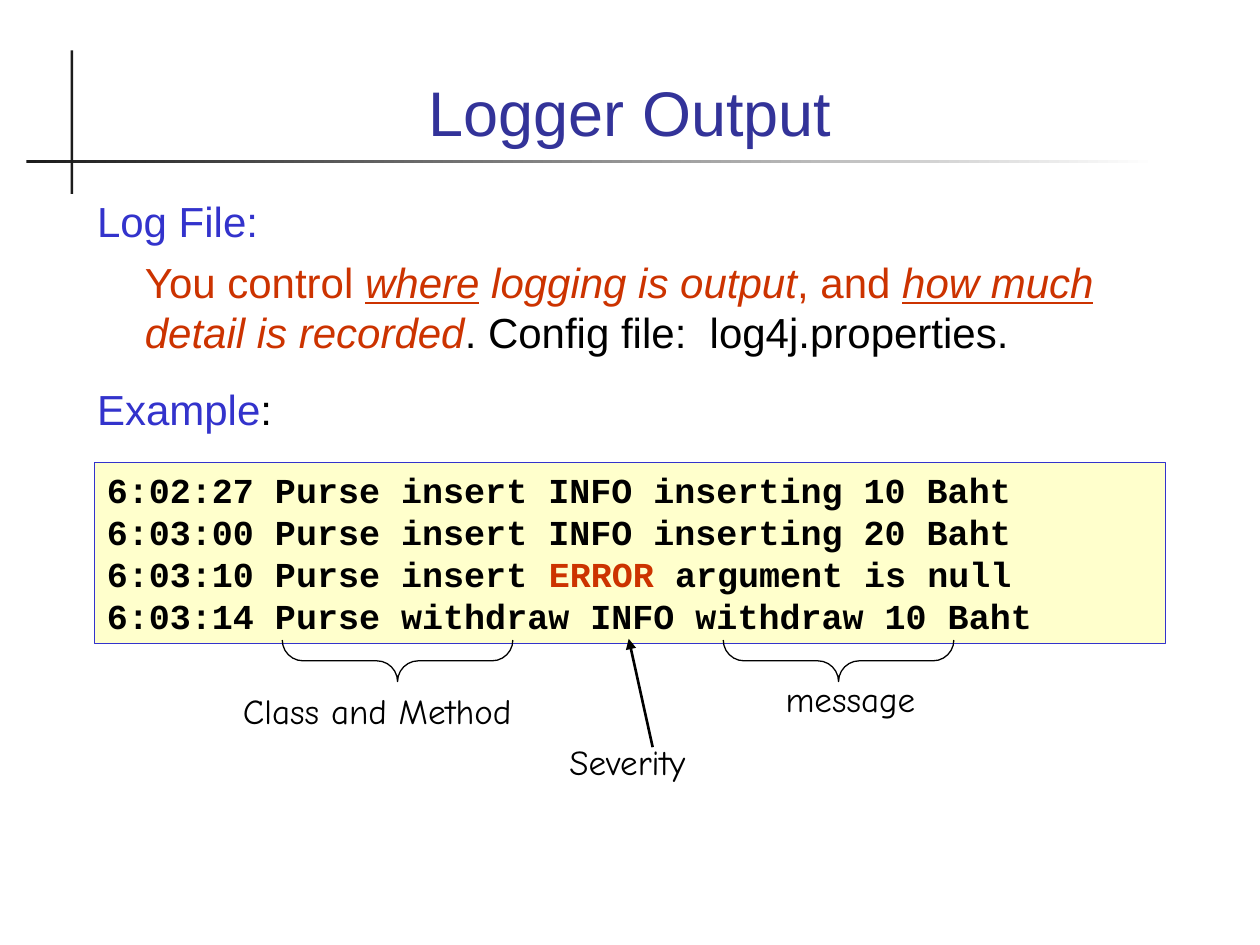
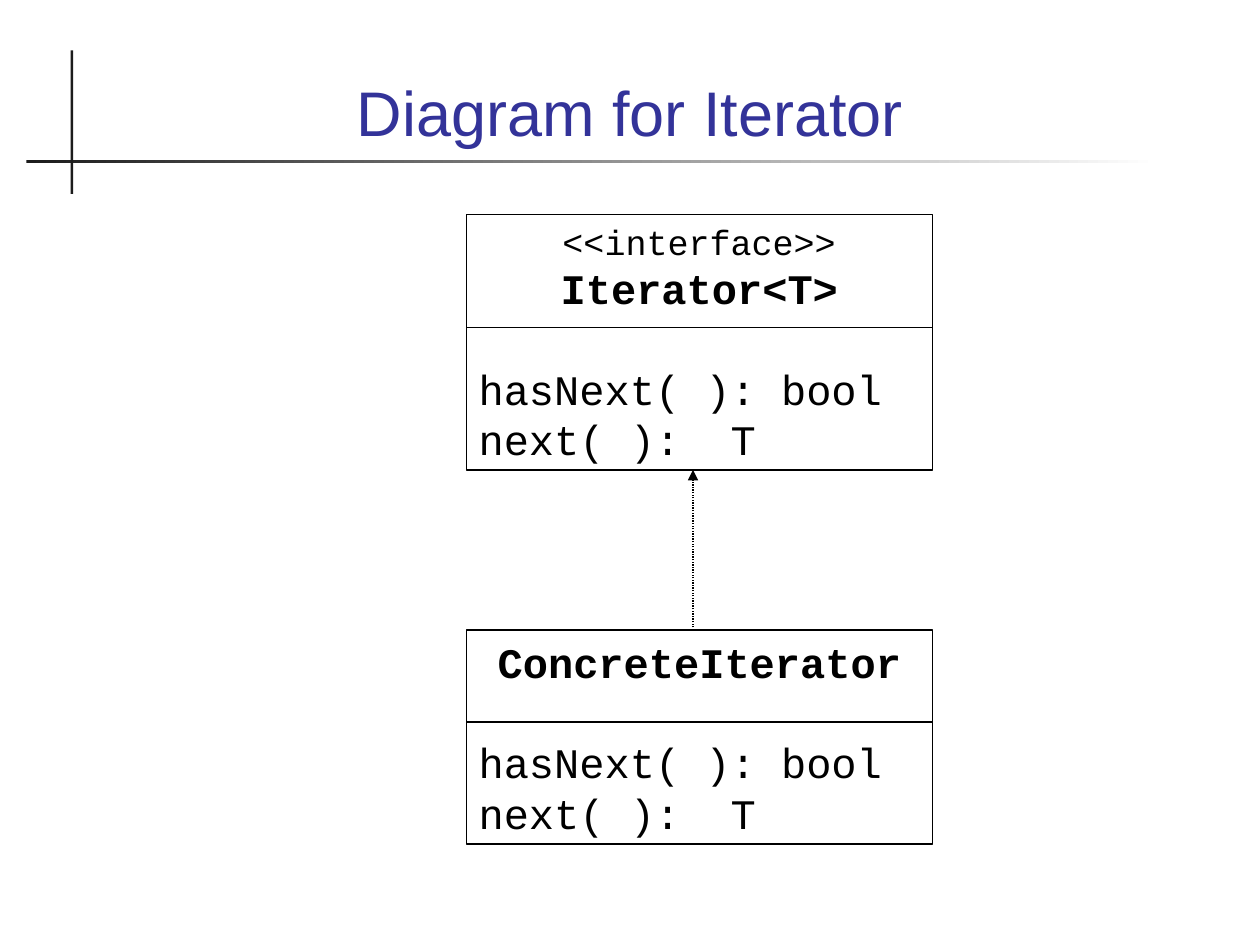
from dataclasses import dataclass

from lxml import etree
from pptx import Presentation
from pptx.dml.color import RGBColor
from pptx.enum.dml import MSO_LINE
from pptx.enum.shapes import MSO_CONNECTOR, MSO_SHAPE
from pptx.enum.text import MSO_ANCHOR, MSO_AUTO_SIZE, PP_ALIGN
from pptx.oxml.ns import qn
from pptx.util import Inches, Pt

RECTANGLE, BRACE = MSO_SHAPE.RECTANGLE, MSO_SHAPE.RIGHT_BRACE
STRAIGHT, DOTTED = MSO_CONNECTOR.STRAIGHT, MSO_LINE.ROUND_DOT
TOP, BOTTOM = MSO_ANCHOR.TOP, MSO_ANCHOR.BOTTOM
LEFT, CENTER = PP_ALIGN.LEFT, PP_ALIGN.CENTER
FIXED = MSO_AUTO_SIZE.NONE
CONTENT_LAYOUT, TITLE_LAYOUT = 1, 5


@dataclass(frozen=True)
class Theme:
    """Colours, fonts and type sizes of the deck."""

    title: str = "333399"
    accent: str = "3333CC"
    alert: str = "CC3300"
    ink: str = "000000"
    rule: str = "1C1C1C"
    paper: str = "FFFFFF"
    log: str = "FFFFCC"
    sans: str = "Arial"
    mono: str = "Courier New"
    hand: str = "Comic Neue"
    title_size: int = 36
    text_size: int = 24
    small_size: int = 20
    thin: float = 0.75
    thick: float = 1.5


THEME = Theme()


def rgb(code):
    """Turn a hex code into a colour."""
    return RGBColor.from_string(code)


def add_span(para, text, name, size, color=THEME.ink, **style):
    """Add a formatted run to a paragraph."""
    span = para.add_run()
    span.text = text
    span.font.color.rgb = rgb(color)
    for key, value in {"name": name, "size": Pt(size), **style}.items():
        setattr(span.font, key, value)


def write_paras(frame, paras, anchor=TOP):
    """Fill a text frame from (paragraph format, spans) pairs."""
    frame.word_wrap = True
    frame.auto_size = FIXED
    frame.vertical_anchor = anchor
    for index, (layout, spans) in enumerate(paras):
        para = frame.paragraphs[0] if index == 0 else frame.add_paragraph()
        for key, value in {"alignment": LEFT, "line_spacing": 1.0, **layout}.items():
            setattr(para, key, value)
        for text, style in spans:
            add_span(para, text, **style)


def place(shape, box):
    """Move a shape to a box of left, top, width, height in inches."""
    for key, value in zip(("left", "top", "width", "height"), box):
        setattr(shape, key, Inches(value))


def add_block(page, box, fill=None, line=None, kind=RECTANGLE):
    """Add a flat preset shape."""
    block = page.shapes.add_shape(kind, *map(Inches, box))
    block.shadow.inherit = False
    if fill:
        block.fill.solid()
        block.fill.fore_color.rgb = rgb(fill)
    else:
        block.fill.background()
    if line:
        block.line.color.rgb = rgb(line)
        block.line.width = Pt(THEME.thin)
    else:
        block.line.fill.background()
    return block


def add_line(page, start, end, width=THEME.thin, dash=None, arrow=False):
    """Draw a straight line, with an arrowhead at its end on request."""
    link = page.shapes.add_connector(STRAIGHT, *map(Inches, (*start, *end)))
    link.line.color.rgb = rgb(THEME.ink)
    link.line.width = Pt(width)
    if dash:
        link.line.dash_style = dash
    if arrow:
        etree.SubElement(link.line._get_or_add_ln(), qn("a:tailEnd"), type="triangle")
    etree.SubElement(link.element.spPr, qn("a:effectLst"))


def add_master_rules(deck, page):
    """Put the crossing title rules on the slide master."""
    upright = add_block(page, (0.56, 0.4, 0.02, 1.14), THEME.rule)
    level = add_block(page, (0.21, 1.27, 8.98, 0.02), THEME.rule)
    level.fill.gradient()
    level.fill.gradient_angle = 0
    for stop, color in zip(level.fill.gradient_stops, (THEME.rule, THEME.paper)):
        stop.color.rgb = rgb(color)
    for number, rule in enumerate((upright, level), start=101):
        rule.element.nvSpPr.cNvPr.set("id", str(number))
        deck.slide_master.element.cSld.spTree.insert(2, rule.element)


def add_page(deck, layout, title):
    """Add a slide with the shared title style."""
    page = deck.slides.add_slide(deck.slide_layouts[layout])
    place(page.shapes.title, (0.67, 0.28, 8.66, 0.95))
    style = {"name": THEME.sans, "size": THEME.title_size, "color": THEME.title}
    write_paras(page.shapes.title.text_frame,
                [({"alignment": CENTER}, [(title, style)])], BOTTOM)
    return page


def add_log_notes(page, box):
    """Write the notes on the log file into the body placeholder."""
    body = page.placeholders[1]
    place(body, box)
    plain = {"name": THEME.sans, "size": THEME.text_size}
    heading = {**plain, "color": THEME.accent}
    alert = {**plain, "color": THEME.alert}
    slanted = {**alert, "italic": True}
    marked = {**slanted, "underline": True}
    write_paras(body.text_frame, [
        ({"space_before": Pt(6)}, [("Log File:", heading)]),
        ({"space_before": Pt(6)}, [
            ("You control ", alert), ("where", marked),
            (" logging is output", slanted), (", and ", alert),
            ("how much", marked), (" detail is recorded", slanted),
            (". Config file:  log4j.properties.", plain)]),
        ({"space_before": Pt(15)}, [("Example", heading), (":", plain)]),
    ])
    for para, margin in zip(body.text_frame.paragraphs, (0, 0.38, 0)):
        props = para._p.get_or_add_pPr()
        props.set("marL", str(Inches(margin)))
        props.set("indent", "0")
        etree.SubElement(props, qn("a:buNone"))


def add_log(page, box):
    """Show the sample log lines."""
    plain = {"name": THEME.mono, "size": THEME.small_size, "bold": True}
    lines = [
        [("6:02:27 Purse insert INFO inserting 10 Baht", plain)],
        [("6:03:00 Purse insert INFO inserting 20 Baht", plain)],
        [("6:03:10 Purse insert ", plain), ("ERROR", {**plain, "color": THEME.alert}),
         (" argument is null", plain)],
        [("6:03:14 Purse withdraw INFO withdraw 10 Baht", plain)],
    ]
    block = add_block(page, box, THEME.log, THEME.accent)
    write_paras(block.text_frame, [({}, spans) for spans in lines])


def add_brace(page, left, top, length=1.83, depth=0.33):
    """Draw a brace that opens upward below a stretch of text."""
    box = (left + (length - depth) / 2, top - (length - depth) / 2, depth, length)
    brace = add_block(page, box, line=THEME.ink, kind=BRACE)
    brace.rotation = 90
    brace.adjustments[0] = 0.5


def add_label(page, text, box, align=LEFT):
    """Add a handwritten label."""
    label = page.shapes.add_textbox(*map(Inches, box))
    style = {"name": THEME.hand, "size": THEME.small_size}
    write_paras(label.text_frame, [({"alignment": align}, [(text, style)])])


def add_callouts(page, left, top):
    """Explain the parts of the last log line, from its lower left corner."""
    for offset in (1.49, 4.99):
        add_brace(page, left + offset, top - 0.03)
    add_line(page, (left + 4.43, top + 0.82), (left + 4.24, top - 0.04),
             THEME.thick, arrow=True)
    for text, x, y, width, align in (
        ("Class and Method", 1.08, 0.31, 2.5, LEFT),
        ("Severity", 3.67, 0.72, 1.42, LEFT),
        ("message", 4.75, 0.22, 2.5, CENTER),
    ):
        add_label(page, text, (left + x, top + y, width, 0.44), align)


def add_class_box(page, box, heads, divider):
    """Draw a class with its heading lines, divider and methods."""
    left, top, width, _ = box
    block = add_block(page, box, line=THEME.ink)
    style = {"name": THEME.mono, "size": THEME.text_size}
    paras = [({"alignment": CENTER}, [(text, {**style, **extra})])
             for text, extra in heads]
    paras.append(({"space_before": Pt(1.2 * THEME.text_size)},
                  [("hasNext( ): bool", style)]))
    paras.append(({}, [("next( ):  T", style)]))
    write_paras(block.text_frame, paras)
    add_line(page, (left, top + divider), (left + width, top + divider))


def build_logger_page(deck):
    """Build the slide on logger output."""
    page = add_page(deck, CONTENT_LAYOUT, "Logger Output")
    add_log_notes(page, (0.67, 1.5, 8.66, 2.08))
    left, top, width, height = 0.75, 3.67, 8.5, 1.44
    add_log(page, (left, top, width, height))
    add_callouts(page, left, top + height)
    return page


def build_iterator_page(deck):
    """Build the slide with the iterator class diagram."""
    page = add_page(deck, TITLE_LAYOUT, "Diagram for Iterator")
    left, width = 3.7, 3.7
    top, height, lower_top = 1.7, 2.03, 5
    bold = {"bold": True}
    add_class_box(page, (left, top, width, height),
                  [("<<interface>>", {"size": THEME.small_size}),
                   ("Iterator<T>", bold)], 0.9)
    add_class_box(page, (left, lower_top, width, 1.7),
                  [("ConcreteIterator", bold)], 0.73)
    add_line(page, (left + 1.8, lower_top), (left + 1.8, top + height),
             dash=DOTTED, arrow=True)


def main():
    """Build and save the deck."""
    deck = Presentation()
    deck.slide_width, deck.slide_height = Inches(10), Inches(7.5)
    add_master_rules(deck, build_logger_page(deck))
    build_iterator_page(deck)
    deck.save("out.pptx")


if __name__ == "__main__":
    main()
